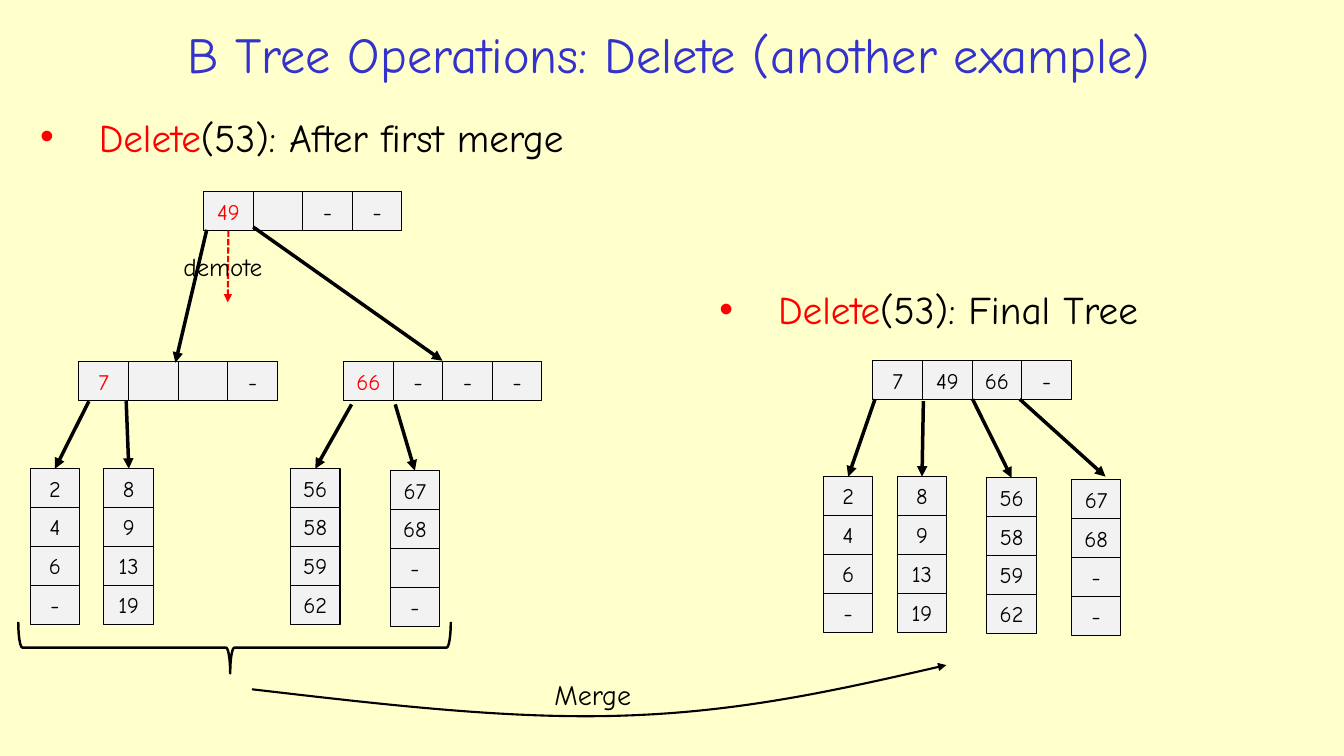
"""Build a slide showing a B-tree deletion before and after its second merge."""
from lxml.etree import SubElement
from pptx import Presentation
from pptx.dml.color import RGBColor
from pptx.enum.dml import MSO_LINE
from pptx.enum.shapes import MSO_CONNECTOR, MSO_SHAPE
from pptx.enum.text import MSO_ANCHOR, MSO_AUTO_SIZE, PP_ALIGN
from pptx.oxml.ns import qn
from pptx.util import Cm, Pt

FONT = "Comic Neue"
CREAM = RGBColor(0xFF, 0xFF, 0xCC)
BLUE = RGBColor(0x33, 0x33, 0xCC)
RED = RGBColor(0xFF, 0x00, 0x00)
BLACK = RGBColor(0x00, 0x00, 0x00)
GREY = RGBColor(0xF2, 0xF2, 0xF2)

CELL_W, CELL_H = 1.25, 0.98
TOP, BOTTOM = 0, 2


def style_text(paragraph, size, color=None):
    """Set the slide's font, a size and perhaps a colour on a paragraph."""
    paragraph.font.name = FONT
    paragraph.font.size = Pt(size)
    if color is not None:
        paragraph.font.color.rgb = color


def add_title(slide, text):
    """Place and format the title placeholder."""
    title = slide.shapes.title
    title.left, title.top, title.width, title.height = Cm(2.46), Cm(0.38), Cm(28.78), Cm(1.93)
    title.text_frame.text = text
    title.text_frame.vertical_anchor = MSO_ANCHOR.MIDDLE
    paragraph = title.text_frame.paragraphs[0]
    paragraph.alignment = PP_ALIGN.CENTER
    style_text(paragraph, 36, BLUE)


def add_heading(shapes, left, top, width, operation, rest):
    """Add a bulleted heading whose operation name is red."""
    heading = shapes.add_textbox(Cm(left), Cm(top), Cm(width), Cm(1.75))
    heading.text_frame.word_wrap = True
    paragraph = heading.text_frame.paragraphs[0]
    properties = paragraph._p.get_or_add_pPr()
    properties.set("marL", str(Cm(1.48)))
    properties.set("indent", str(-Cm(1.48)))
    SubElement(properties, qn("a:buFont"), typeface="Arial")
    SubElement(properties, qn("a:buChar"), char="•")
    style_text(paragraph, 28)
    for text, color in ((operation, RED), (rest, BLACK)):
        run = paragraph.add_run()
        run.text = text
        run.font.color.rgb = color


def add_label(shapes, left, top, width, text, size):
    """Add a one-line label that fits its text."""
    label = shapes.add_textbox(Cm(left), Cm(top), Cm(width), Cm(1.05))
    label.text_frame.word_wrap = False
    label.text_frame.auto_size = MSO_AUTO_SIZE.SHAPE_TO_FIT_TEXT
    label.text_frame.text = text
    style_text(label.text_frame.paragraphs[0], size, BLACK)


def add_cell(shapes, left, top, key, color):
    """Add one key cell of a node."""
    cell = shapes.add_shape(MSO_SHAPE.RECTANGLE, Cm(left), Cm(top), Cm(CELL_W), Cm(CELL_H))
    cell.shadow.inherit = False
    cell.fill.solid()
    cell.fill.fore_color.rgb = GREY
    cell.line.color.rgb = BLACK
    cell.line.width = Pt(0.75)
    frame = cell.text_frame
    frame.margin_left = frame.margin_right = frame.margin_top = frame.margin_bottom = 0
    frame.vertical_anchor = MSO_ANCHOR.MIDDLE
    frame.text = key
    frame.paragraphs[0].alignment = PP_ALIGN.CENTER
    style_text(frame.paragraphs[0], 16, color)
    return cell


def add_row(shapes, left, top, keys, first_color=BLACK):
    """Add an inner node as a row of cells and return its first cell."""
    cells = [
        add_cell(shapes, left + i * CELL_W, top, key, BLACK if i else first_color)
        for i, key in enumerate(keys)
    ]
    return cells[0]


def add_leaf(shapes, left, top, keys):
    """Add a leaf as a column of cells and return its top cell."""
    cells = [add_cell(shapes, left, top + i * CELL_H, key, BLACK) for i, key in enumerate(keys)]
    return cells[0]


def add_arrowhead(line):
    """Put a triangle at the end of a line."""
    SubElement(line._get_or_add_ln(), qn("a:tailEnd"), type="triangle")


def add_arrow(shapes, start, end, color=BLACK, width=2.5, dash=None):
    """Add a straight arrow between two points."""
    arrow = shapes.add_connector(
        MSO_CONNECTOR.STRAIGHT, Cm(start[0]), Cm(start[1]), Cm(end[0]), Cm(end[1])
    )
    arrow.line.color.rgb = color
    arrow.line.width = Pt(width)
    if dash is not None:
        arrow.line.dash_style = dash
    add_arrowhead(arrow.line)
    SubElement(arrow._element.spPr, qn("a:effectLst"))
    return arrow


def add_leaves(shapes, leaves):
    """Add leaves, each with an arrow from its parent to its top."""
    for left, top, keys, start in leaves:
        leaf = add_leaf(shapes, left, top, keys)
        arrow = add_arrow(shapes, start, (left + CELL_W / 2, top))
        arrow.end_connect(leaf, TOP)


def add_merge_curve(shapes, start, *controls):
    """Add a curved arrow made of cubic segments."""
    builder = shapes.build_freeform(Cm(start[0]), Cm(start[1]))
    builder.add_line_segments([(Cm(x), Cm(y)) for x, y in controls], close=False)
    curve = builder.convert_to_shape()
    curve.shadow.inherit = False
    curve.fill.background()
    curve.line.color.rgb = BLACK
    curve.line.width = Pt(1.5)
    add_arrowhead(curve.line)
    outline = curve._element.find(".//" + qn("a:path"))
    segments = outline.findall(qn("a:lnTo"))
    for i in range(0, len(segments), 3):
        bezier = SubElement(outline, qn("a:cubicBezTo"))
        for segment in segments[i:i + 3]:
            bezier.append(segment[0])
            outline.remove(segment)


def add_brace(shapes):
    """Add the brace under the leaves that are to be merged."""
    brace = shapes.add_shape(MSO_SHAPE.RIGHT_BRACE, Cm(5.26), Cm(10.87), Cm(1.3), Cm(10.9))
    brace.rotation = 90
    brace.adjustments[0] = 0.08
    brace.adjustments[1] = 0.51
    brace.shadow.inherit = False
    brace.fill.background()
    brace.line.color.rgb = BLACK
    brace.line.width = Pt(1.75)


def add_tree_before(shapes):
    """Draw the tree after its first merge."""
    add_heading(shapes, 0.76, 2.72, 16.1, "Delete", "(53): After first merge")
    root = add_row(shapes, 5.13, 4.83, ["49", "", "-", "-"], RED)
    add_row(shapes, 1.99, 9.12, ["7", "", "", "-"], RED)
    add_row(shapes, 8.66, 9.12, ["66", "-", "-", "-"], RED)
    add_arrow(shapes, (5.21, 5.79), (4.42, 9.14))
    add_arrow(shapes, (6.38, 5.72), (11.15, 9.09))
    add_leaves(shapes, [
        (0.76, 11.81, ["2", "4", "6", "-"], (2.24, 10.11)),
        (2.62, 11.81, ["8", "9", "13", "19"], (3.18, 10.11)),
        (7.32, 11.81, ["56", "58", "59", "62"], (8.86, 10.19)),
        (9.83, 11.86, ["67", "68", "-", "-"], (9.96, 10.19)),
    ])
    demotion = add_arrow(shapes, (5.77, 5.89), (5.74, 7.62), RED, 1.5, MSO_LINE.SQUARE_DOT)
    demotion.begin_connect(root, BOTTOM)
    add_label(shapes, 4.37, 6.2, 2.74, "demote", 18)


def add_tree_after(shapes):
    """Draw the final tree."""
    add_heading(shapes, 17.88, 7.06, 14.3, "Delete", "(53): Final Tree")
    add_row(shapes, 22, 9.09, ["7", "49", "66", "-"])
    add_leaves(shapes, [
        (20.75, 12.01, ["2", "4", "6", "-"], (22.05, 10.06)),
        (22.61, 12.01, ["8", "9", "13", "19"], (23.27, 10.11)),
        (24.87, 12.04, ["56", "58", "59", "62"], (24.51, 10.06)),
    ])
    add_leaf(shapes, 27, 12.09, ["67", "68", "-", "-"])
    add_arrow(shapes, (25.7, 10.06), (27.86, 12.01))


def main():
    """Build and save the slide."""
    deck = Presentation()
    deck.slide_width, deck.slide_height = Cm(33.87), Cm(19.05)
    slide = deck.slides.add_slide(deck.slide_layouts[5])
    slide.background.fill.solid()
    slide.background.fill.fore_color.rgb = CREAM
    add_title(slide, "B Tree Operations: Delete (another example)")
    add_tree_before(slide.shapes)
    add_tree_after(slide.shapes.add_group_shape().shapes)
    add_brace(slide.shapes)
    add_merge_curve(slide.shapes, (6.35, 17.37), (9.63, 17.75), (12.88, 18.14), (15.8, 18.03),
                    (18.72, 17.93), (21.29, 17.35), (23.85, 16.76))
    add_label(slide.shapes, 13.72, 16.94, 2.64, "Merge", 20)
    deck.save("out.pptx")


if __name__ == "__main__":
    main()
